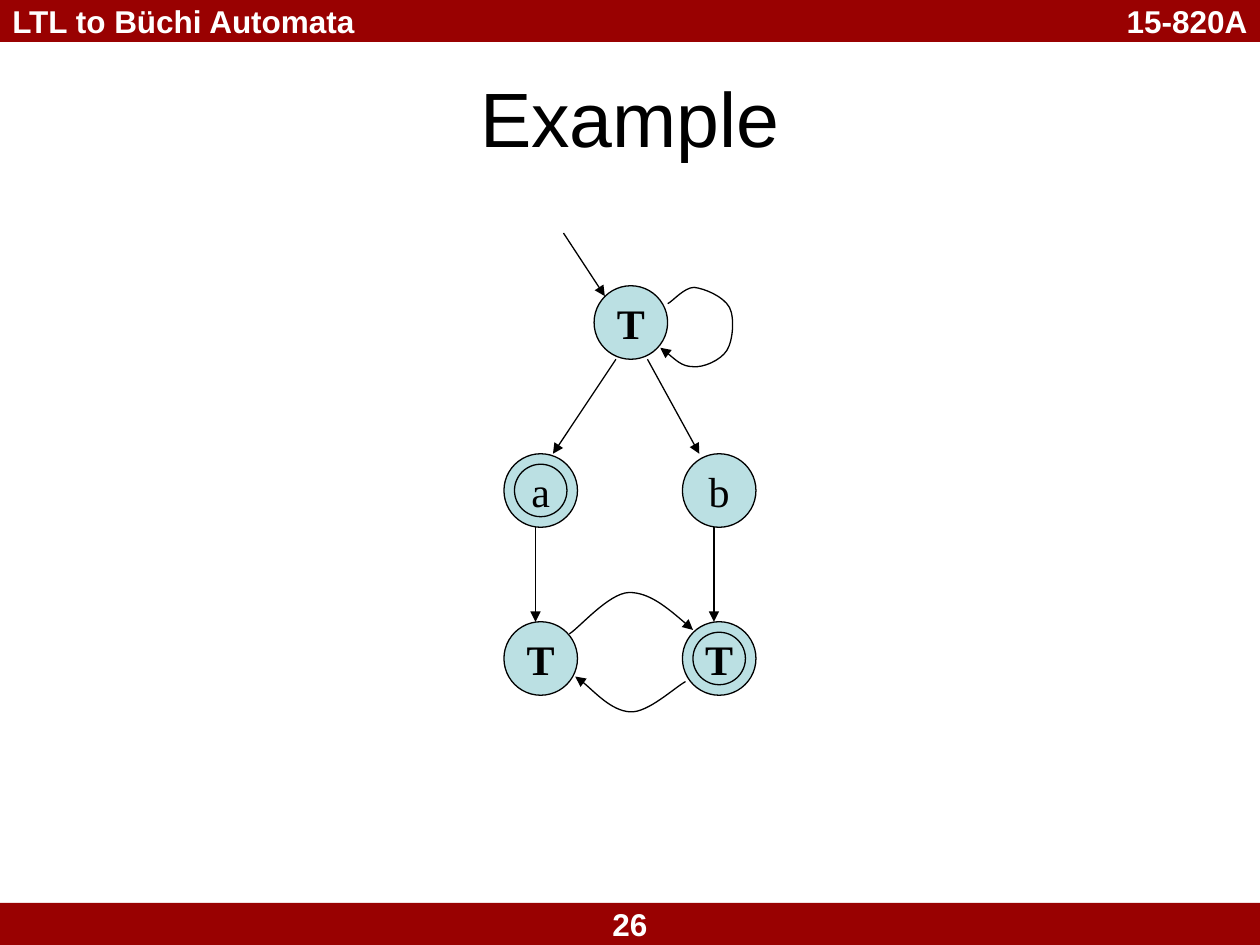
from lxml import etree
from pptx import Presentation
from pptx.dml.color import RGBColor
from pptx.enum.shapes import MSO_CONNECTOR, MSO_SHAPE
from pptx.enum.text import MSO_ANCHOR, PP_ALIGN
from pptx.oxml.ns import qn
from pptx.util import Pt

LEFT, CENTER, RIGHT = PP_ALIGN.LEFT, PP_ALIGN.CENTER, PP_ALIGN.RIGHT
MIDDLE = MSO_ANCHOR.MIDDLE
RECTANGLE, OVAL = MSO_SHAPE.RECTANGLE, MSO_SHAPE.OVAL
STRAIGHT = MSO_CONNECTOR.STRAIGHT

WIDTH, HEIGHT, BAR_HEIGHT = 720, 540, 24
COLORS = {"bar": "990101", "state": "BBE0E3", "ink": "000000", "light": "FFFFFF"}


def color(name):
    return RGBColor.from_string(COLORS[name])


def write_text(shape, text, size=18, font="Arial", ink="ink", bold=False,
               align=CENTER, wrap=True):
    frame = shape.text_frame
    frame.word_wrap = wrap
    frame.vertical_anchor = MIDDLE
    paragraph = frame.paragraphs[0]
    paragraph.alignment = align
    run = paragraph.add_run()
    run.text = text
    run.font.size = Pt(size)
    run.font.name = font
    run.font.bold = bold
    run.font.color.rgb = color(ink)


class AutomatonSlide:
    line_width = 0.75
    state_size = 42
    accepting_size = 30

    def __init__(self, presentation):
        self.slide = presentation.slides.add_slide(presentation.slide_layouts[5])
        self.shapes = self.slide.shapes

    def title(self, text):
        shape = self.shapes.title
        shape.left, shape.top = Pt(36), Pt(21.6)
        shape.width, shape.height = Pt(648), Pt(90)
        write_text(shape, text, size=44)

    def bar(self, top, text, align):
        shape = self.shapes.add_shape(RECTANGLE, 0, Pt(top), Pt(WIDTH), Pt(BAR_HEIGHT))
        shape.shadow.inherit = False
        shape.fill.solid()
        shape.fill.fore_color.rgb = color("bar")
        shape.line.fill.background()
        write_text(shape, text, ink="light", bold=True, align=align)

    def bar_label(self, text):
        shape = self.shapes.add_textbox(0, 0, Pt(WIDTH), Pt(BAR_HEIGHT))
        write_text(shape, text, ink="light", bold=True, align=LEFT)

    def outline(self, shape):
        shape.line.color.rgb = color("ink")
        shape.line.width = Pt(self.line_width)

    def circle(self, x, y, size):
        shape = self.shapes.add_shape(
            OVAL, Pt(x - size / 2), Pt(y - size / 2), Pt(size), Pt(size))
        shape.shadow.inherit = False
        shape.fill.solid()
        shape.fill.fore_color.rgb = color("state")
        self.outline(shape)
        return shape

    def state(self, x, y, text, bold, accepting):
        shape = self.circle(x, y, self.state_size)
        if accepting:
            shape = self.circle(x, y, self.accepting_size)
        write_text(shape, text, size=24, font="Times New Roman", bold=bold, wrap=False)

    def arrowhead(self, shape):
        self.outline(shape)
        line = shape._element.spPr.find(qn("a:ln"))
        etree.SubElement(line, qn("a:tailEnd"), type="triangle")

    def arrow(self, start, end):
        connector = self.shapes.add_connector(STRAIGHT, *map(Pt, start + end))
        self.arrowhead(connector)
        etree.SubElement(connector._element.spPr, qn("a:effectLst"))

    def curved_arrow(self, points):
        start, *rest = [(Pt(x), Pt(y)) for x, y in points]
        builder = self.shapes.build_freeform(*start)
        builder.add_line_segments(rest, close=False)
        shape = builder.convert_to_shape()
        shape.shadow.inherit = False
        shape.fill.background()
        self.arrowhead(shape)
        outline_path = next(shape._element.iter(qn("a:path")))
        segments = outline_path.findall(qn("a:lnTo"))
        for first in range(0, len(segments), 3):
            curve = etree.SubElement(outline_path, qn("a:cubicBezTo"))
            for segment in segments[first:first + 3]:
                curve.append(segment[0])
                outline_path.remove(segment)


def main():
    presentation = Presentation()
    presentation.slide_width, presentation.slide_height = Pt(WIDTH), Pt(HEIGHT)
    page = AutomatonSlide(presentation)
    page.bar(0, "15-820A", RIGHT)
    page.bar(HEIGHT - BAR_HEIGHT, "26", CENTER)
    page.bar_label("LTL to Büchi Automata")
    page.title("Example")

    left, middle, right = 309, 360.5, 411
    top_row, middle_row, bottom_row = (184.3 + 96 * row for row in range(3))
    for x, y, text, bold, accepting in [
        (middle, top_row, "T", True, False),
        (left, middle_row, "a", False, True),
        (right, middle_row, "b", False, False),
        (left, bottom_row, "T", True, False),
        (right, bottom_row, "T", True, True),
    ]:
        page.state(x, y, text, bold, accepting)

    radius = page.state_size / 2
    below_top, above_middle = top_row + radius, middle_row - radius
    page.arrow((322, 133.2), (345.6, 169.2))
    page.arrow((352, below_top), (316, above_middle))
    page.arrow((370, below_top), (399.6, above_middle))
    for x in (left, right):
        page.arrow((x - 3, middle_row + radius), (x - 3, bottom_row - radius))

    page.curved_arrow([
        (325.4, 362.2), (331.2, 358.6), (347.8, 339.1), (359.3, 338.6),
        (370.8, 338.4), (383.8, 349.2), (396, 360)])
    page.curved_arrow([
        (391.7, 389.5), (385.2, 393.1), (370.1, 407.5), (360, 406.8),
        (349.2, 406.1), (334.1, 389.5), (328.7, 386.6)])
    page.curved_arrow([
        (381.6, 173.5), (384.5, 172.1), (391, 164.2), (396.7, 164.2),
        (402.5, 164.9), (413.3, 169.2), (416.9, 175.7),
        (419.8, 181.4), (419, 194.4), (415.4, 200.2),
        (411.8, 205.9), (401.8, 210.2), (396, 209.5),
        (389.5, 209.5), (381.6, 201.6), (377.3, 198.7)])
    presentation.save("out.pptx")


if __name__ == "__main__":
    main()
